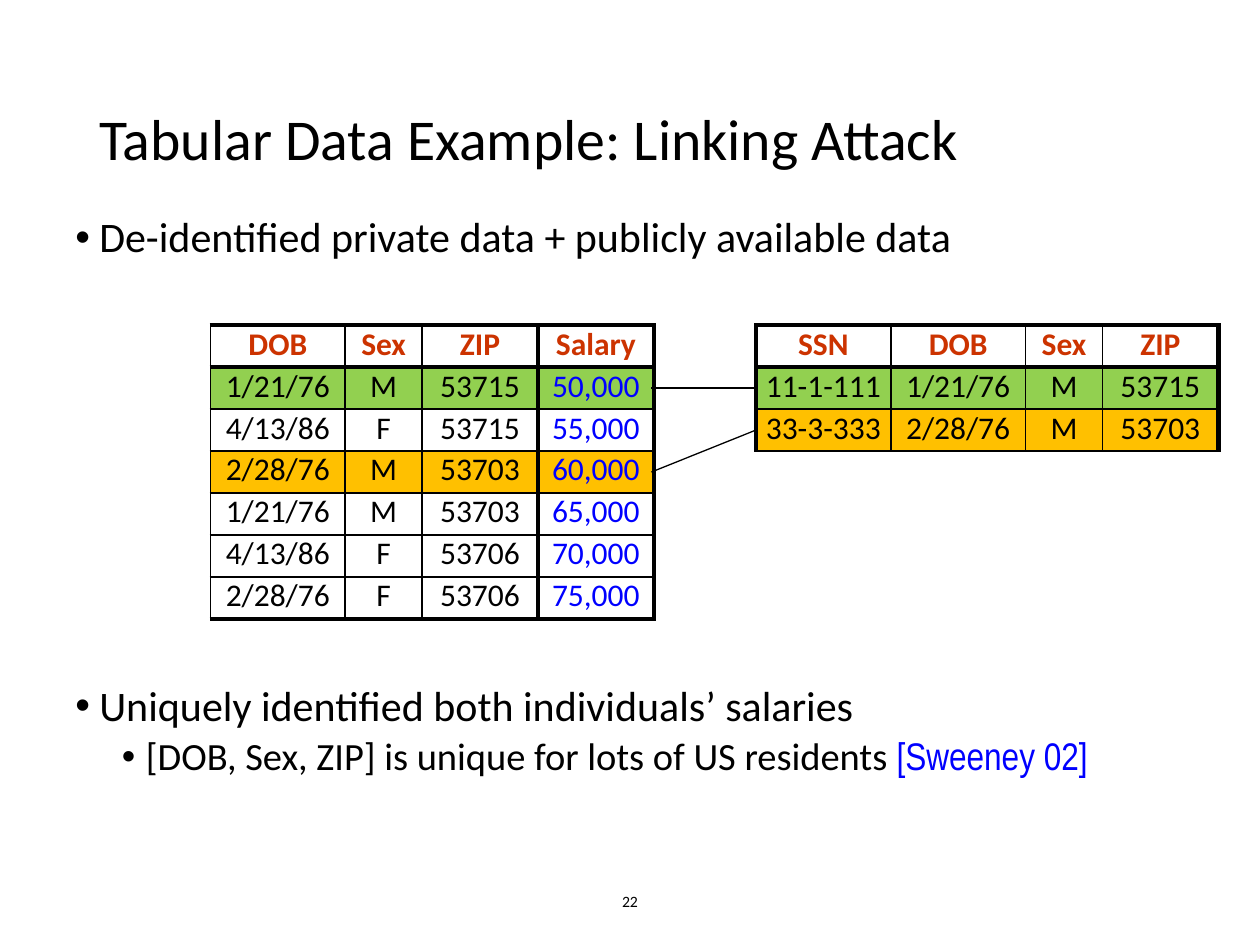
from dataclasses import dataclass

from lxml.etree import SubElement
from pptx import Presentation
from pptx.dml.color import RGBColor
from pptx.enum.shapes import MSO_CONNECTOR
from pptx.enum.text import MSO_ANCHOR as Anchor, PP_ALIGN as Align
from pptx.oxml.ns import qn
from pptx.util import Inches, Pt


@dataclass(frozen=True)
class Theme:
    black: str = "000000"
    blue: str = "0000FF"
    header: str = "CC3300"
    green: str = "92D050"
    amber: str = "FFC000"
    font: str = "Calibri"
    citation_font: str = "Arial Narrow"
    title: float = 33
    body: float = 24
    sub_body: float = 22
    cell: float = 18
    number: float = 9


THEME = Theme()
ROW_HEIGHT = 1 / 3
TABLE_TOP = 2.58
COLUMN_WIDTHS = {"SSN": 1.07, "DOB": 1.07, "Sex": 0.61, "ZIP": 0.92, "Salary": 0.92}

PRIVATE_ROWS = [
    ("DOB", "Sex", "ZIP", "Salary"),
    ("1/21/76", "M", "53715", "50,000"),
    ("4/13/86", "F", "53715", "55,000"),
    ("2/28/76", "M", "53703", "60,000"),
    ("1/21/76", "M", "53703", "65,000"),
    ("4/13/86", "F", "53706", "70,000"),
    ("2/28/76", "F", "53706", "75,000"),
]
PUBLIC_ROWS = [
    ("SSN", "DOB", "Sex", "ZIP"),
    ("11-1-111", "1/21/76", "M", "53715"),
    ("33-3-333", "2/28/76", "M", "53703"),
]


def add_span(para, text, size, font=THEME.font, color=THEME.black, bold=False):
    span = para.add_run()
    span.text = text
    span.font.size = Pt(size)
    span.font.name = font
    span.font.bold = bold
    span.font.color.rgb = RGBColor.from_string(color)


def add_text_frame(page, box, anchor=Anchor.TOP):
    frame = page.shapes.add_textbox(*map(Inches, box)).text_frame
    frame.word_wrap = True
    frame.vertical_anchor = anchor
    return frame


def set_bullet(para, indent, hanging=0.19):
    properties = para._p.get_or_add_pPr()
    properties.set("marL", str(Inches(indent)))
    properties.set("indent", str(-Inches(hanging)))
    SubElement(properties, qn("a:buFont"), typeface="Arial")
    SubElement(properties, qn("a:buChar"), char="•")
    para.line_spacing = 0.9


def add_title(page, box, text):
    para = add_text_frame(page, box, Anchor.MIDDLE).paragraphs[0]
    para.line_spacing = 0.9
    add_span(para, text, THEME.title)


def add_finding(page, box):
    """Place the first-level bullet and its sub-point with the citation."""
    frame = add_text_frame(page, box)
    add_bullet(frame.paragraphs[0], "Uniquely identified both individuals’ salaries")
    detail = frame.add_paragraph()
    detail.level = 1
    add_bullet(detail, "[DOB, Sex, ZIP] is unique for lots of US residents ",
               size=THEME.sub_body, indent=0.56)
    detail.space_before = Pt(3.8)
    add_span(detail, "[Sweeney 02]", THEME.sub_body,
             font=THEME.citation_font, color=THEME.blue)


def add_bullet(para, text, size=THEME.body, indent=0.19):
    set_bullet(para, indent)
    add_span(para, text, size)


def add_premise(page, box):
    para = add_text_frame(page, box).paragraphs[0]
    add_bullet(para, "De-identified private data + publicly available data")


def add_slide_number(page, box, text):
    para = add_text_frame(page, box, Anchor.MIDDLE).paragraphs[0]
    para.alignment = Align.CENTER
    add_span(para, text, THEME.number)


def set_borders(cell, **widths):
    properties = cell._tc.get_or_add_tcPr()
    for side, width in widths.items():
        line = SubElement(properties, qn(f"a:ln{side}"), w=str(Pt(width)))
        fill = SubElement(line, qn("a:solidFill"))
        SubElement(fill, qn("a:srgbClr"), val=THEME.black)


def add_records(page, left, top, rows, matches, column_edges, row_edges):
    """Place a table; matches maps row to fill, the edges are rule widths in points."""
    widths = [COLUMN_WIDTHS[name] for name in rows[0]]
    box = (left, top, sum(widths), ROW_HEIGHT * len(rows))
    table = page.shapes.add_table(len(rows), len(widths), *map(Inches, box)).table
    table.first_row = table.horz_banding = False
    for column, width in zip(table.columns, widths):
        column.width = Inches(width)
    for r, values in enumerate(rows):
        table.rows[r].height = Inches(ROW_HEIGHT)
        for c, value in enumerate(values):
            cell = table.cell(r, c)
            cell.margin_left = cell.margin_right = Inches(0.05)
            cell.margin_top = cell.margin_bottom = 0
            set_borders(cell, L=column_edges[c], R=column_edges[c + 1],
                        T=row_edges[r], B=row_edges[r + 1])
            if r in matches:
                cell.fill.solid()
                cell.fill.fore_color.rgb = RGBColor.from_string(matches[r])
            else:
                cell.fill.background()
            if r == 0:
                color = THEME.header
            else:
                color = THEME.blue if rows[0][c] == "Salary" else THEME.black
            para = cell.text_frame.paragraphs[0]
            para.alignment = Align.CENTER
            add_span(para, value, THEME.cell, color=color, bold=r == 0)


def add_link(page, left, right, from_row, to_row):
    """Join the middles of two table rows."""
    start, end = (TABLE_TOP + (row + 0.5) * ROW_HEIGHT for row in (from_row, to_row))
    link = page.shapes.add_connector(
        MSO_CONNECTOR.STRAIGHT, *map(Inches, (left, start, right, end)))
    link.line.color.rgb = RGBColor.from_string(THEME.black)
    link.line.width = Pt(0.75)
    SubElement(link._element.spPr, qn("a:effectLst"))


def add_linking_attack(page):
    add_slide_number(page, (3.31, 6.95, 3.38, 0.4), "22")
    add_title(page, (0.69, 0.4, 8.62, 1.45), "Tabular Data Example: Linking Attack")
    add_premise(page, (0.5, 1.67, 9.5, 0.5))
    add_finding(page, (0.5, 5.39, 9.5, 1))
    add_records(page, 1.67, TABLE_TOP, PRIVATE_ROWS,
                matches={1: THEME.green, 3: THEME.amber},
                column_edges=[1, 1, 1, 3, 2.25],
                row_edges=[2.25, 3, 1, 1, 1, 1, 1, 2.25])
    add_records(page, 6, TABLE_TOP, PUBLIC_ROWS,
                matches={1: THEME.green, 2: THEME.amber},
                column_edges=[2.25, 1, 1, 1, 3],
                row_edges=[2.25, 3, 1, 1])
    for from_row, to_row in ((1, 1), (3, 2)):
        add_link(page, 5.17, 6, from_row, to_row)


def main():
    deck = Presentation()
    deck.slide_width, deck.slide_height = Inches(10), Inches(7.5)
    add_linking_attack(deck.slides.add_slide(deck.slide_layouts[6]))
    deck.save("out.pptx")


if __name__ == "__main__":
    main()
